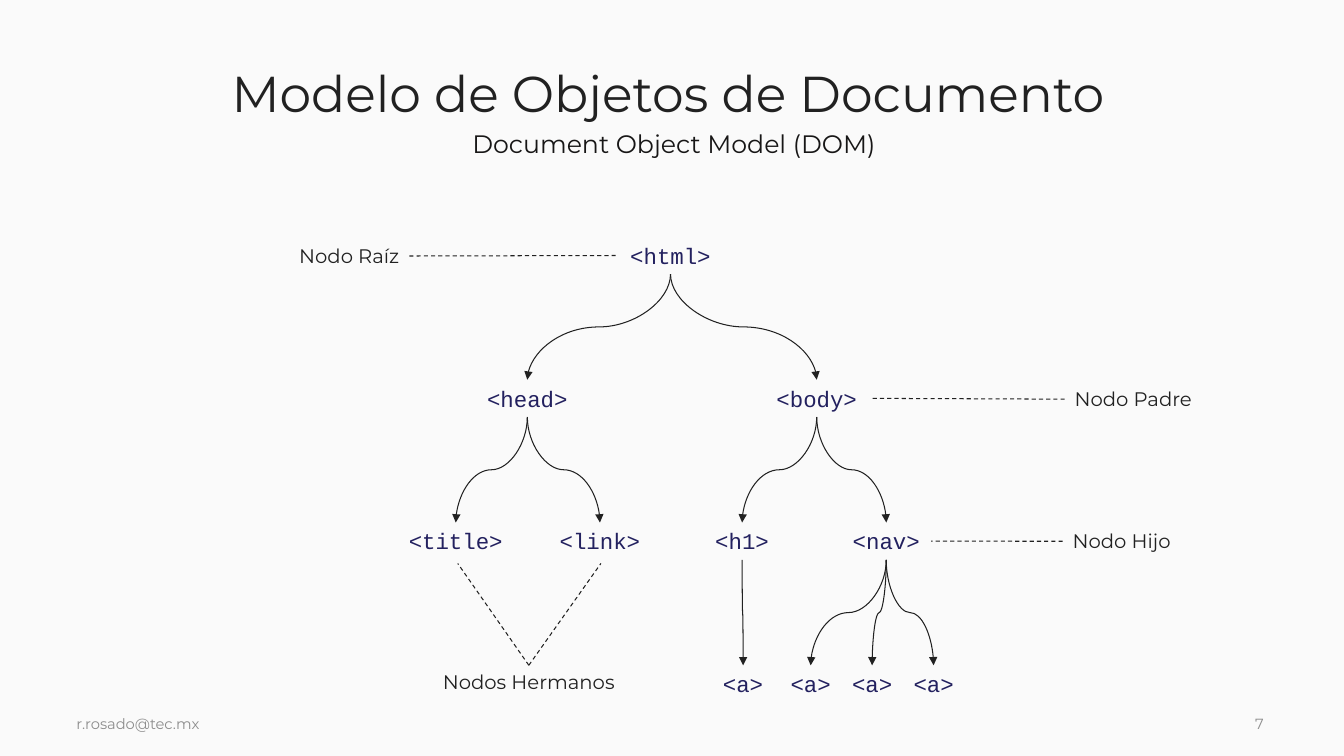
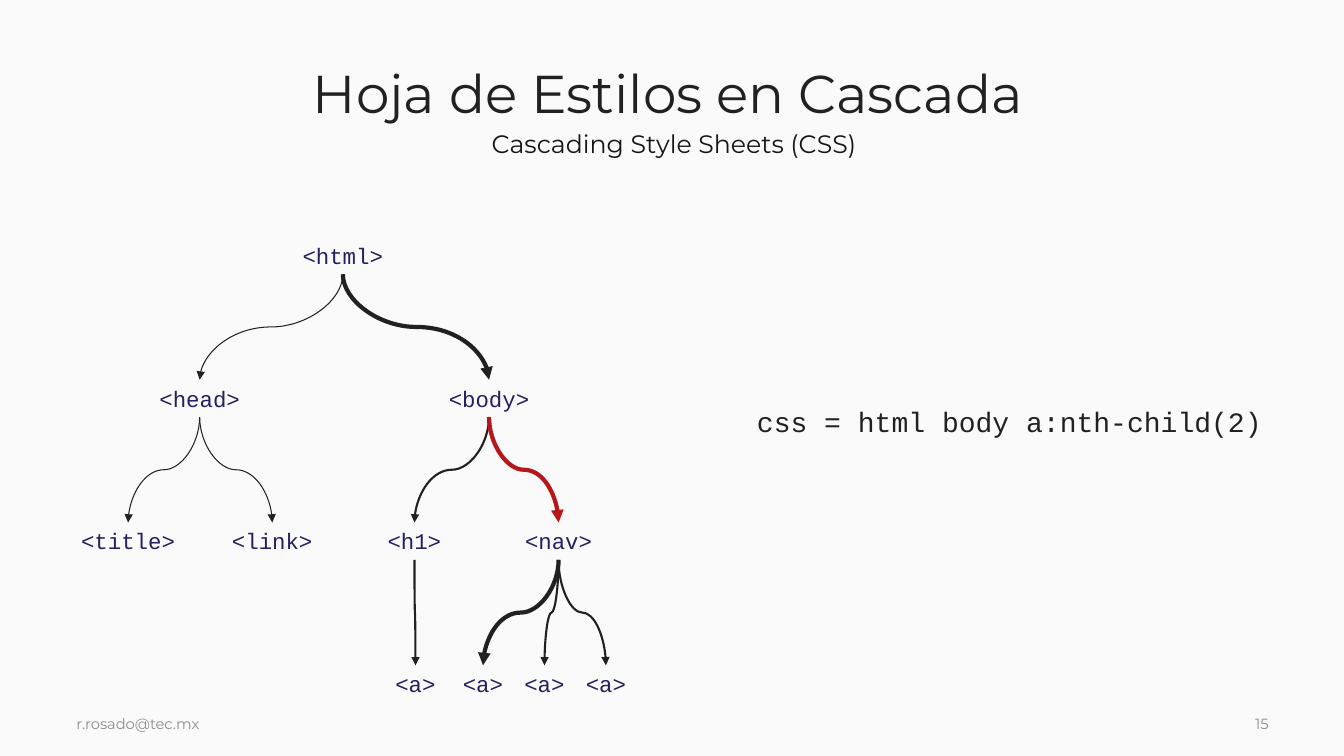
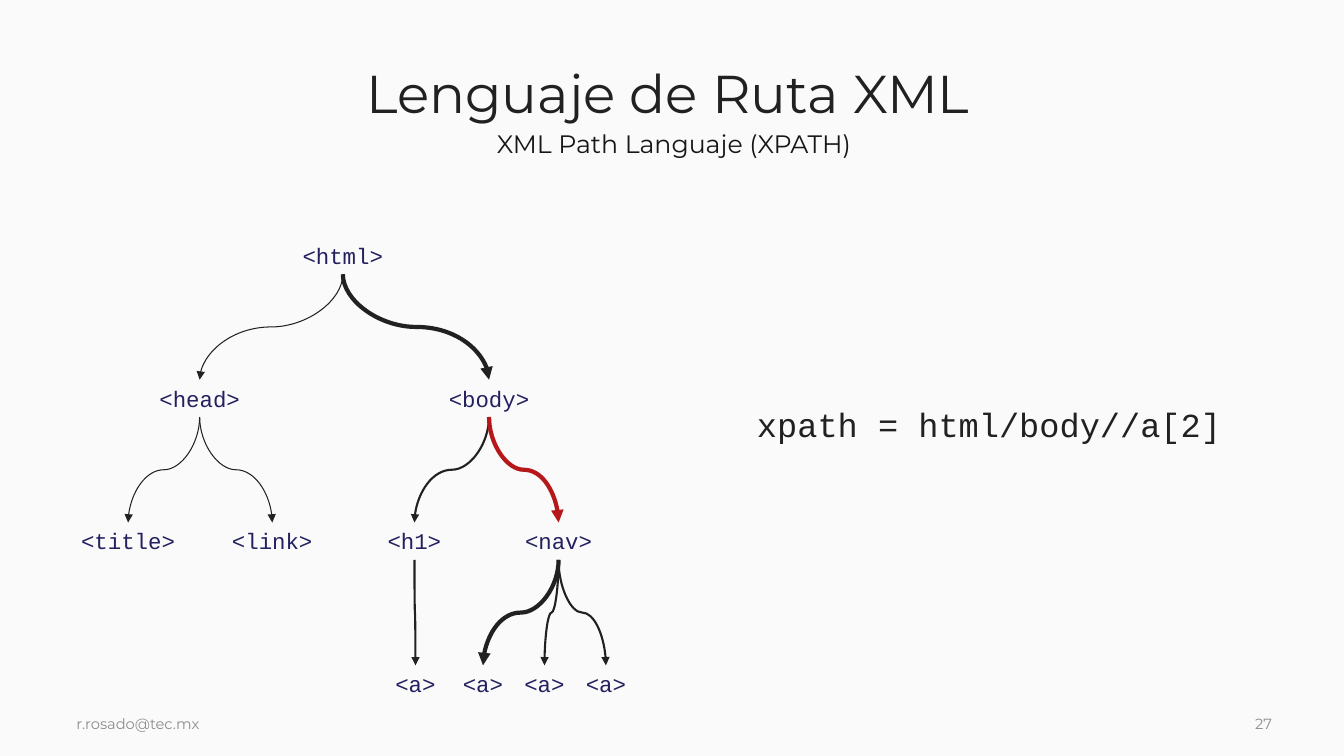
import pptx
import pptx.dml.color
import pptx.enum.dml
import pptx.enum.shapes
import pptx.enum.text
import pptx.oxml
import pptx.oxml.ns
import pptx.util

Inches = pptx.util.Inches
ALIGN = pptx.enum.text.PP_ALIGN
ANCHOR = pptx.enum.text.MSO_ANCHOR
CONNECTOR = pptx.enum.shapes.MSO_CONNECTOR

INK, SUBTITLE, MUTED, CODE, ACCENT, PAPER = "212121", "171616", "8D8D8D", "23215F", "B6171A", "FAFAFA"
SANS, MONO = "Montserrat", "Courier New"

LEVEL_TOP, LEVEL_STEP, NODE_HEIGHT = 2.35, 1.417, 0.37
NODES = {
    "html": ("<html>", 0, 3.4, 1.03),
    "head": ("<head>", 1, 1.98, 1.09),
    "body": ("<body>", 1, 4.85, 1.09),
    "title": ("<title>", 2, 1.27, 1.43),
    "link": ("<link>", 2, 2.7, 1.43),
    "h1": ("<h1>", 2, 4.11, 1.43),
    "nav": ("<nav>", 2, 5.54, 0.89),
    "h1 a": ("<a>", 3, 4.12, 0.61),
    "nav a1": ("<a>", 3, 4.79, 0.61),
    "nav a2": ("<a>", 3, 5.4, 0.61),
    "nav a3": ("<a>", 3, 6.01, 0.61),
}
EDGES = [
    ("html", "head"), ("html", "body"), ("head", "title"), ("head", "link"),
    ("body", "h1"), ("body", "nav"), ("nav", "nav a3"), ("nav", "nav a2"),
    ("nav", "nav a1"), ("h1", "h1 a"),
]
SEARCH_STYLES = {
    "body": (INK, 3), "h1": (INK, 1.5), "nav": (ACCENT, 3), "nav a1": (INK, 3),
    "nav a2": (INK, 1.5), "nav a3": (INK, 1.5), "h1 a": (INK, 1.5),
}


def color(value):
    return pptx.dml.color.RGBColor.from_string(value)


class Presenter:
    def __init__(self):
        self.deck = pptx.Presentation()
        self.deck.slide_width = Inches(13.33)
        self.deck.slide_height = Inches(7.5)
        fill = self.deck.slide_master.background.fill
        fill.solid()
        fill.fore_color.rgb = color(PAPER)
        self.page = None

    def add_page(self, title, subtitle, number, title_size=38):
        self.page = self.deck.slides.add_slide(self.deck.slide_layouts[6])
        self.text(title, 0.64, 0.51, 11.97, 0.89, title_size, align=ALIGN.CENTER,
                  anchor=ANCHOR.MIDDLE, spacing=0.9)
        self.text(subtitle, 0.76, 1.22, 11.85, 0.4, 18, SUBTITLE, align=ALIGN.CENTER)
        for footer, left, width in (("r.rosado@tec.mx", 0.66, 7.74), (number, 12.35, 0.39)):
            self.text(footer, left, 6.86, width, 0.64, 10.5, MUTED, anchor=ANCHOR.MIDDLE)

    def text(self, words, left, top, width, height, size, ink=INK, font=SANS,
             align=ALIGN.LEFT, anchor=ANCHOR.TOP, spacing=1.0):
        box = self.page.shapes.add_textbox(Inches(left), Inches(top), Inches(width), Inches(height))
        frame = box.text_frame
        frame.word_wrap = True
        frame.vertical_anchor = anchor
        para = frame.paragraphs[0]
        para.alignment = align
        para.line_spacing = spacing
        span = para.add_run()
        span.text = words
        span.font.size = pptx.util.Pt(size)
        span.font.name = font
        span.font.color.rgb = color(ink)
        return box

    def connector(self, kind, start, end, ink=INK, weight=0.75):
        line = self.page.shapes.add_connector(kind, *(Inches(value) for value in (*start, *end)))
        line.line.color.rgb = color(ink)
        line.line.width = pptx.util.Pt(weight)
        line._element.spPr.append(pptx.oxml.parse_xml(
            "<a:effectLst %s/>" % pptx.oxml.ns.nsdecls("a")))
        return line

    def branch(self, start, end, ink, weight):
        middle_x, middle_y = (start[0] + end[0]) / 2, (start[1] + end[1]) / 2
        side = 1 if end[0] > start[0] else -1
        reach = side * (end[1] - start[1]) / 2
        spread = abs(end[0] - start[0]) / 2
        line = self.connector(CONNECTOR.CURVE, (middle_x + reach, middle_y - spread),
                              (middle_x - reach, middle_y + spread), ink, weight)
        properties = line._element.spPr
        transform = properties.find(pptx.oxml.ns.qn("a:xfrm"))
        transform.set("rot", str((180 + 90 * side) * 60000))
        outline = properties.find(pptx.oxml.ns.qn("a:ln"))
        outline.append(pptx.oxml.parse_xml(
            '<a:tailEnd %s type="triangle"/>' % pptx.oxml.ns.nsdecls("a")))

    def dashed(self, start, end):
        line = self.connector(CONNECTOR.STRAIGHT, start, end)
        line.line.dash_style = pptx.enum.dml.MSO_LINE.DASH
        return line

    def tree(self, offset=0, styles=None):
        boxes, tops, bottoms = {}, {}, {}
        for name, (tag, level, center, width) in NODES.items():
            center += offset
            top = LEVEL_TOP + level * LEVEL_STEP
            boxes[name] = self.text(tag, center - width / 2, top, width, NODE_HEIGHT, 16,
                                    CODE, MONO, ALIGN.CENTER)
            tops[name] = (center, top)
            bottoms[name] = (center, top + NODE_HEIGHT)
        for parent, child in EDGES:
            self.branch(bottoms[parent], tops[child], *(styles or {}).get(child, (INK, 0.75)))
        return boxes

    def label(self, words, left, top, width, align=ALIGN.LEFT):
        return self.text(words, left, top, width, 0.34, 14, align=align)

    def join(self, label, label_side, node, node_side):
        line = self.dashed((0, 0), (1, 1))
        line.begin_connect(label, label_side)
        line.end_connect(node, node_side)

    def code(self, words, size):
        self.text(words, 7.41, 4, 5.47, 2.86, size, font=MONO, spacing=0.9)


def main():
    show = Presenter()

    show.add_page("Modelo de Objetos de Documento", "Document Object Model (DOM)", "7", 36)
    nodes = show.tree(offset=3.25)
    root = show.label("Nodo Raíz", 1.86, 2.37, 2.2, ALIGN.RIGHT)
    child = show.label("Nodo Hijo", 10.54, 5.2, 1.51)
    parent = show.label("Nodo Padre", 10.56, 3.79, 1.42)
    siblings = show.label("Nodos Hermanos", 3.89, 6.6, 2.71, ALIGN.CENTER)
    show.join(root, 3, nodes["html"], 1)
    show.join(parent, 1, nodes["body"], 3)
    show.join(child, 1, nodes["nav"], 3)
    for sibling_x in (4.54, 5.96):
        show.dashed((5.24, 6.6), (sibling_x, 5.59)).begin_connect(siblings, 0)

    for title, subtitle, number, query, size in (
        ("Hoja de Estilos en Cascada", "Cascading Style Sheets (CSS)", "15",
         "css = html body a:nth-child(2)", 20),
        ("Lenguaje de Ruta XML", "XML Path Languaje (XPATH)", "27",
         "xpath = html/body//a[2]", 24),
    ):
        show.add_page(title, subtitle, number)
        show.tree(styles=SEARCH_STYLES)
        show.code(query, size)

    show.deck.save("out.pptx")


if __name__ == "__main__":
    main()
